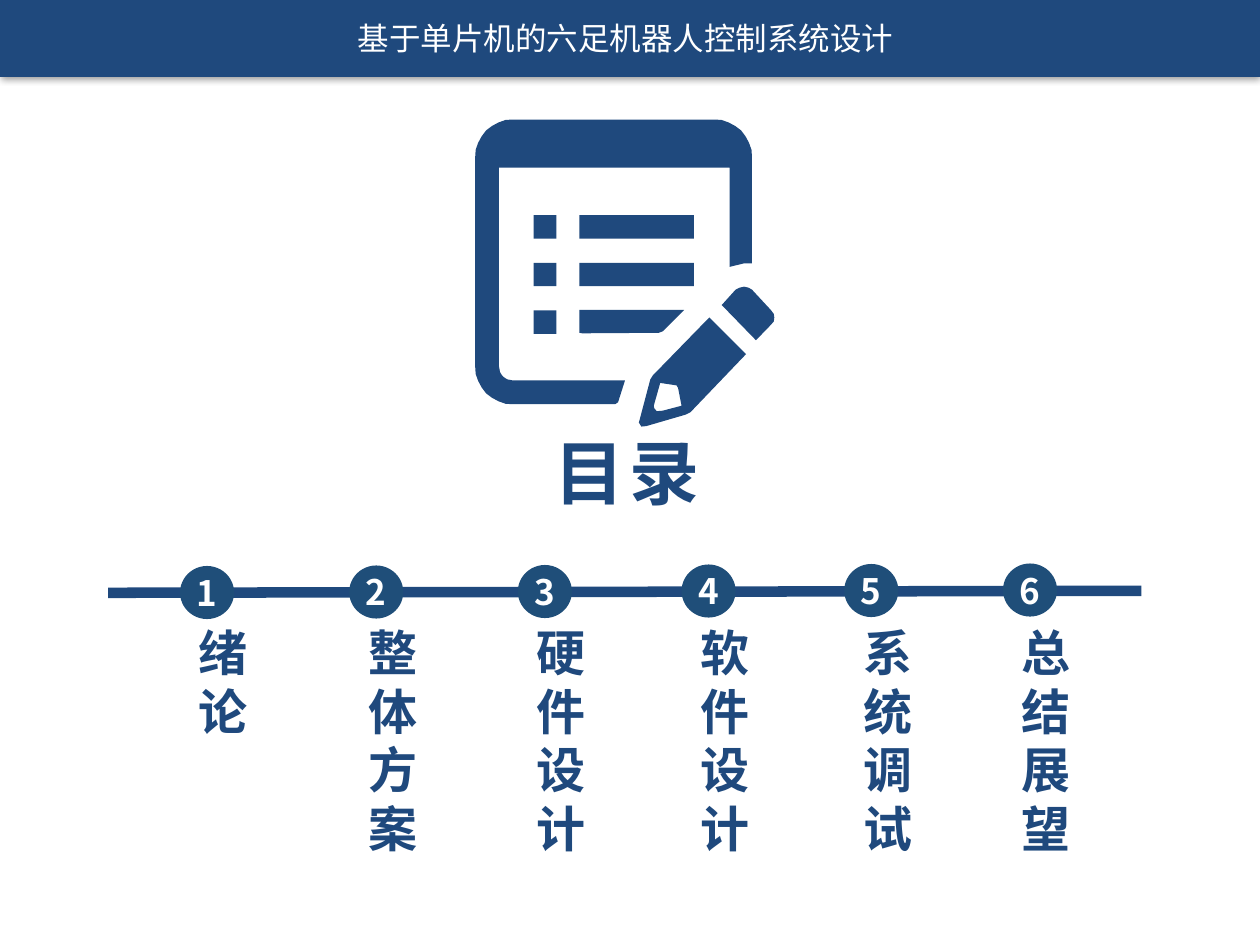
import math
from lxml import etree
from pptx import Presentation
from pptx import util as u
from pptx.dml.color import RGBColor
from pptx.enum import shapes, text
from pptx.oxml.ns import qn

NAVY = RGBColor(0x1F, 0x49, 0x7D)
TEAL = RGBColor(0x1F, 0x4E, 0x79)
WHITE = RGBColor(0xFF, 0xFF, 0xFF)
FONT = "Noto Sans CJK SC"
KIND = shapes.MSO_SHAPE
Cm = u.Cm


def write(shape, words, size, color, bold=True):
    """Put one centred run in the shape and return the run."""
    frame = shape.text_frame
    frame.word_wrap = True
    frame.auto_size = text.MSO_AUTO_SIZE.NONE
    frame.vertical_anchor = text.MSO_ANCHOR.TOP
    para = frame.paragraphs[0]
    para.alignment = text.PP_ALIGN.CENTER
    para.line_spacing = u.Pt(round(size * 1.2, 1))
    run = para.add_run()
    run.text = words
    font = run.font
    font.size, font.bold, font.name = u.Pt(size), bold, FONT
    font.color.rgb = color
    etree.SubElement(font._element, qn("a:ea"), typeface=FONT)
    return run


def paint(shape, color):
    shape.shadow.inherit = False
    shape.fill.solid()
    shape.fill.fore_color.rgb = color
    shape.line.fill.background()


prs = Presentation()
prs.slide_width, prs.slide_height = Cm(25.4), Cm(19.05)
slide = prs.slides.add_slide(prs.slide_layouts[5])
parts = slide.shapes

# Title
title = parts.title
title.left, title.top = Cm(8.94), Cm(8.53)
title.width, title.height = Cm(7.39), Cm(1.96)
run = write(title, "目录", 40, NAVY)
run.font._element.set("spc", "300")

# Notepad icon, outlines in hundredths of a centimetre
icon = parts.add_group_shape().shapes
arcs = []
for x, y, radius, start, end in [
    (1034, 739, 76, 90, 180),
    (1034, 317, 76, 180, 270),
    (1440, 317, 76, 270, 360),
    (1034, 739, 28, 180, 90),
]:
    angles = [math.radians(start + (end - start) * i / 8) for i in range(9)]
    arcs.append([(x + radius * math.cos(a), y + radius * math.sin(a)) for a in angles])

sheet = [(1260, 767), (1246, 811), (1240, 815)] + arcs[0] + arcs[1] + arcs[2]
sheet += [(1516, 531), (1500, 531), (1471, 538), (1471, 338), (1006, 338)] + arcs[3]
pencil = [(1430, 640), (1504, 714), (1392, 831), (1382, 836), (1303, 859),
          (1293, 860), (1288, 852), (1311, 765), (1316, 757)]
tip = [(1331, 772), (1318, 818), (1319, 823), (1324, 829), (1336, 828),
       (1374, 818), (1367, 782), (1364, 777)]
rubber = [(1455, 615), (1483, 584), (1491, 580), (1500, 578), (1509, 580),
          (1516, 584), (1554, 625), (1560, 633), (1561, 640), (1560, 648),
          (1554, 655), (1524, 686)]
stub = [(1168, 625), (1379, 625), (1336, 668), (1328, 671), (1174, 672), (1168, 671)]

for rings in [[sheet], [pencil, tip], [rubber], [stub]]:
    first = rings[0]
    pen = icon.build_freeform(*first[0], scale=Cm(0.01))
    pen.add_line_segments(first[1:], close=True)
    for ring in rings[1:]:
        pen.move_to(*ring[0])
        pen.add_line_segments(ring[1:], close=True)
    paint(pen.convert_to_shape(), NAVY)

for row in range(3):
    top = Cm(4.34 + 0.96 * row)
    paint(icon.add_shape(KIND.RECTANGLE, Cm(10.76), top, Cm(0.46), Cm(0.47)), NAVY)
    if row < 2:
        paint(icon.add_shape(KIND.RECTANGLE, Cm(11.68), top, Cm(2.31), Cm(0.47)), NAVY)

# Header bar with a soft shadow
bar = parts.add_shape(KIND.RECTANGLE, 0, 0, prs.slide_width, Cm(1.55))
paint(bar, NAVY)
glow = bar._element.spPr.find(qn("a:effectLst"))
shade = etree.SubElement(glow, qn("a:outerShdw"), blurRad=str(u.Pt(4)),
                         dist=str(u.Pt(1)), dir="5400000", rotWithShape="0")
black = etree.SubElement(shade, qn("a:srgbClr"), val="000000")
etree.SubElement(black, qn("a:alpha"), val="40000")
head = parts.add_textbox(Cm(4.45), Cm(0.25), Cm(16.31), Cm(1.02))
write(head, "基于单片机的六足机器人控制系统设计", 18, WHITE, False)

# Timeline
line = parts.add_connector(shapes.MSO_CONNECTOR.STRAIGHT,
                           Cm(2.18), Cm(11.95), Cm(23.01), Cm(11.91))
line.line.color.rgb = NAVY
line.line.width = u.Pt(6)
etree.SubElement(line._element.spPr, qn("a:effectLst"))

steps = [(3.63, "绪论"), (7.04, "整体方案"), (10.44, "硬件设计"),
         (13.74, "软件设计"), (17.02, "系统调试"), (20.22, "总结展望")]
for i, (left, name) in enumerate(steps):
    dot = parts.add_shape(KIND.OVAL, Cm(left), Cm(11.41 - 0.01 * i), Cm(1.09), Cm(1.07))
    paint(dot, TEAL)
    write(dot, str(i + 1), 20, WHITE)
    frame = dot.text_frame
    frame.vertical_anchor = text.MSO_ANCHOR.MIDDLE
    frame.margin_left = frame.margin_right = frame.margin_top = frame.margin_bottom = 0
    # A box one character wide stacks the label
    label = parts.add_textbox(Cm(left + 0.13), Cm(12.42), Cm(0.84), Cm(0.25 + 1.19 * len(name)))
    write(label, name, 28, NAVY)

prs.save("out.pptx")
